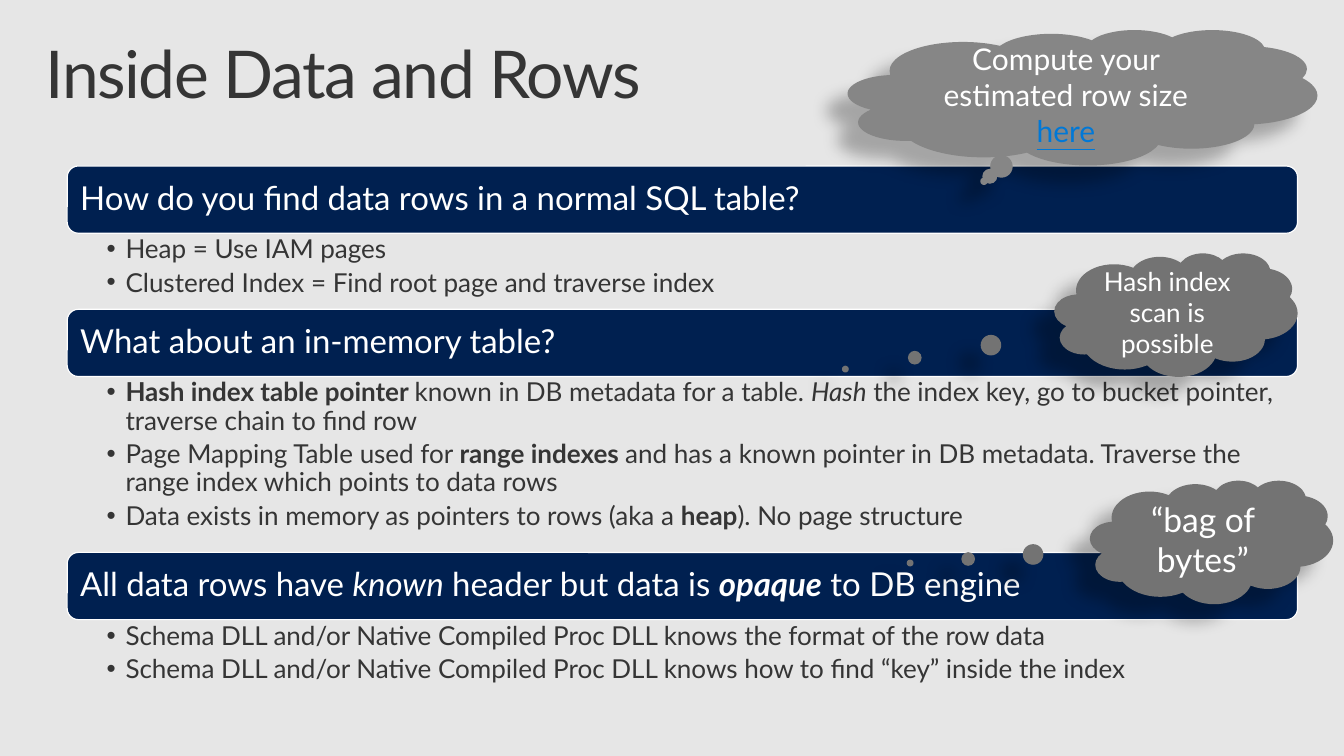
"""Builds the slide "Inside Data and Rows" with three topic sections and three cloud callouts."""
from lxml import etree
from pptx import Presentation, util as u
from pptx.dml.color import RGBColor
from pptx.enum import shapes, text
from pptx.oxml import ns

FONT = "Lato"
COLORS = {
    "background": "E6E6E6", "dark": "353535", "navy": "002050", "white": "FFFFFF",
    "light_cloud": "868686", "dark_cloud": "737373", "link": "0078D7", "shadow": "000000",
}
LEFT, WIDTH, FIRST_TOP, BAR_HEIGHT = 0.68, 12.45, 1.68, 0.68

SECTIONS = [
    (0.77, [("How do you find data rows in a normal SQL table?", "")], [
        [("Heap = Use IAM pages", "")],
        [("Clustered Index = Find root page and traverse index", "")],
    ]),
    (1.78, [("What about an in-memory table?", "")], [
        [("Hash index table pointer ", "b"), ("known in DB metadata for a table. ", ""),
         ("Hash", "i"), (" the index key, go to bucket pointer, traverse chain to find row", "")],
        [("Page Mapping Table used for ", ""), ("range indexes ", "b"),
         ("and has a known pointer in DB metadata. "
          "Traverse the range index which points to data rows", "")],
        [("Data exists in memory as pointers to rows (aka a ", ""), ("heap", "b"),
         ("). No page structure", "")],
    ]),
    (0.77, [("All data rows have ", ""), ("known", "i"), (" header but data is ", ""),
            ("opaque", "bi"), (" to DB engine", "")], [
        [("Schema DLL and/or Native Compiled Proc DLL knows the format of the row data", "")],
        [("Schema DLL and/or Native Compiled Proc DLL knows how to find “key” inside the index", "")],
    ]),
]

CLOUDS = [
    ((8.58, 0.3, 4.75, 1.37), (-0.21, 0.62), "light_cloud", 21.8,
     [("Compute your estimated row size ", ""), ("here", "u")]),
    ((11.03, 4.86, 2.46, 1.25), (-1.24, 0.17), "dark_cloud", 24.5, [("“bag of bytes”", "")]),
    ((10.67, 2.56, 2.46, 1.25), (-1.36, 0.44), "dark_cloud", 19,
     [("Hash index scan is possible", "")]),
]


def rgb(name):
    """Return a named colour."""
    return RGBColor.from_string(COLORS[name])


def inches(box):
    """Convert left, top, width and height to lengths."""
    return [u.Inches(value) for value in box]


def set_frame(frame, margins, anchor):
    """Set wrapping, margins (left, top, right, bottom) and anchor."""
    frame.word_wrap = True
    frame.margin_left, frame.margin_top, frame.margin_right, frame.margin_bottom = inches(margins)
    frame.vertical_anchor = anchor


def write_runs(paragraph, pieces, size, color):
    """Fill a paragraph with pieces styled by b, i and u (link)."""
    paragraph.text = pieces[0][0]
    for words, _ in pieces[1:]:
        paragraph.add_run().text = words
    for run, (_, style) in zip(paragraph.runs, pieces):
        font = run.font
        font.name, font.size = FONT, u.Pt(size)
        font.bold, font.italic, font.underline = "b" in style, "i" in style, "u" in style
        font.color.rgb = rgb("link" if "u" in style else color)


def add_bullet(paragraph):
    """Give a paragraph a hanging bullet."""
    properties = paragraph._p.get_or_add_pPr()
    properties.set("marL", str(u.Inches(0.19)))
    properties.set("indent", str(u.Inches(-0.19)))
    etree.SubElement(properties, ns.qn("a:buFont"), typeface="Arial")
    etree.SubElement(properties, ns.qn("a:buChar"), char="•")


def add_shadow(shape):
    """Cast a soft shadow to the lower left."""
    shape.shadow.inherit = False
    effects = shape._element.spPr.find(ns.qn("a:effectLst"))
    shadow = etree.SubElement(effects, ns.qn("a:outerShdw"), blurRad=str(u.Pt(11.8)),
                              dist=str(u.Pt(19.7)), dir=str(141 * 60000),
                              algn="ctr", rotWithShape="0")
    color = etree.SubElement(shadow, ns.qn("a:srgbClr"), val=COLORS["shadow"])
    etree.SubElement(color, ns.qn("a:alpha"), val="28000")


def add_title(slide, words):
    """Add the slide title."""
    frame = slide.shapes.add_textbox(*inches((0.3, 0.32, 13, 1))).text_frame
    set_frame(frame, (0.16, 0.1, 0.16, 0.1), text.MSO_ANCHOR.TOP)
    paragraph = frame.paragraphs[0]
    paragraph.line_spacing = 0.9
    write_runs(paragraph, [(words, "")], 48, "dark")
    paragraph.runs[0].font._element.set("spc", "-100")


def add_bar(slide, top, heading):
    """Add a rounded heading bar."""
    shape = slide.shapes.add_shape(shapes.MSO_SHAPE.ROUNDED_RECTANGLE,
                                   *inches((LEFT, top, WIDTH, BAR_HEIGHT)))
    shape.shadow.inherit = False
    shape.fill.solid()
    shape.fill.fore_color.rgb = rgb("navy")
    shape.line.color.rgb = rgb("white")
    shape.line.width = u.Pt(0.85)
    set_frame(shape.text_frame, (0.1, 0.1, 0.1, 0.1), text.MSO_ANCHOR.MIDDLE)
    paragraph = shape.text_frame.paragraphs[0]
    paragraph.alignment = text.PP_ALIGN.LEFT
    paragraph.line_spacing = 0.9
    write_runs(paragraph, heading, 24, "white")


def add_bullets(slide, top, height, bullets):
    """Add the bullet list under a heading bar."""
    frame = slide.shapes.add_textbox(*inches((LEFT, top, WIDTH, height))).text_frame
    set_frame(frame, (0.4, 0.03, 0.19, 0.03), text.MSO_ANCHOR.TOP)
    for index, pieces in enumerate(bullets):
        paragraph = frame.add_paragraph() if index else frame.paragraphs[0]
        paragraph.line_spacing = 0.9
        paragraph.space_after = u.Pt(3.8)
        add_bullet(paragraph)
        write_runs(paragraph, pieces, 19, "dark")


def add_cloud(slide, box, tail, fill, size, pieces):
    """Add a cloud callout whose tail is given relative to its centre."""
    shape = slide.shapes.add_shape(shapes.MSO_SHAPE.CLOUD_CALLOUT, *inches(box))
    shape.adjustments[0], shape.adjustments[1] = tail
    shape.fill.solid()
    shape.fill.fore_color.rgb = rgb(fill)
    shape.line.fill.background()
    add_shadow(shape)
    set_frame(shape.text_frame, (0.1, 0.05, 0.1, 0.05), text.MSO_ANCHOR.MIDDLE)
    paragraph = shape.text_frame.paragraphs[0]
    paragraph.alignment = text.PP_ALIGN.CENTER
    write_runs(paragraph, pieces, size, "white")


def main():
    """Build and save the slide."""
    presentation = Presentation()
    presentation.slide_width, presentation.slide_height = u.Inches(13.6), u.Inches(7.65)
    slide = presentation.slides.add_slide(presentation.slide_layouts[6])
    slide.background.fill.solid()
    slide.background.fill.fore_color.rgb = rgb("background")
    add_title(slide, "Inside Data and Rows")
    top = FIRST_TOP
    for height, heading, bullets in SECTIONS:
        add_bar(slide, top, heading)
        add_bullets(slide, top + BAR_HEIGHT, height, bullets)
        top += BAR_HEIGHT + height
    for cloud in CLOUDS:
        add_cloud(slide, *cloud)
    presentation.save("out.pptx")


if __name__ == "__main__":
    main()
